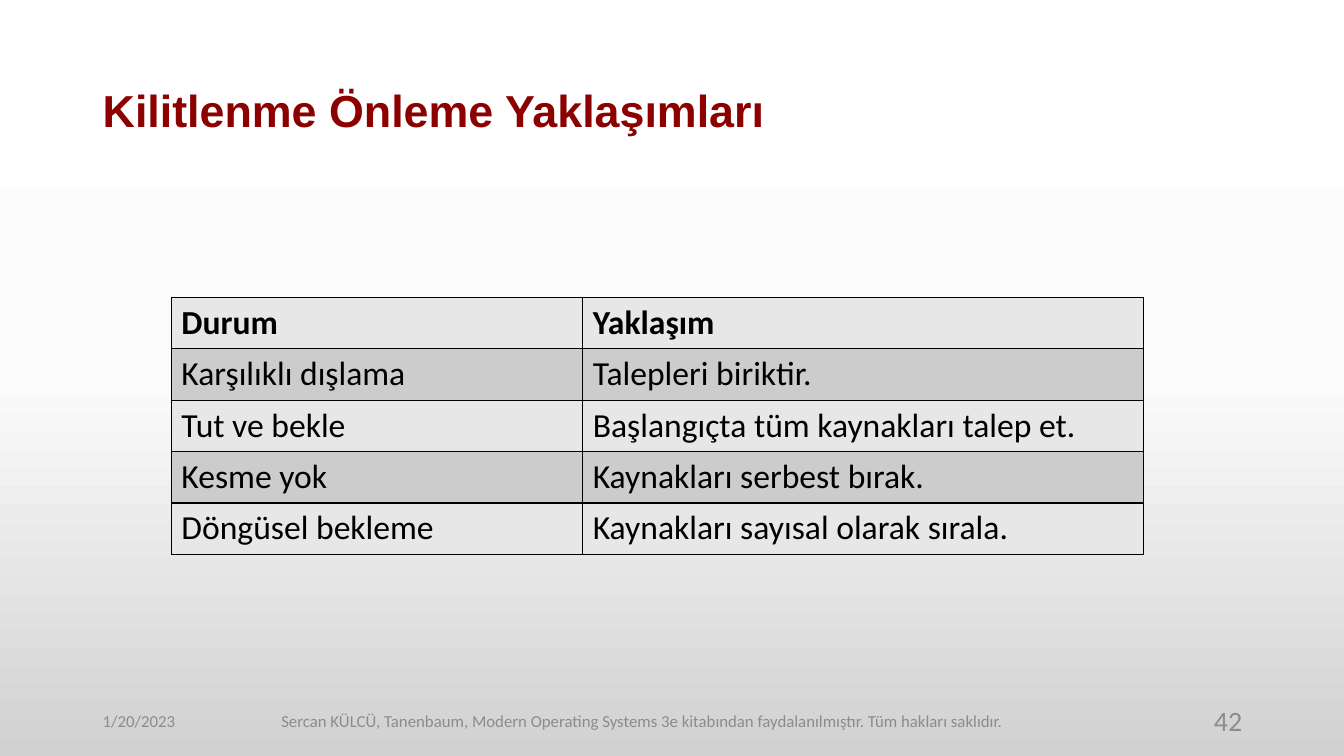
from dataclasses import dataclass

from lxml.etree import SubElement
from pptx import Presentation
from pptx.dml.color import RGBColor as Rgb
from pptx.enum.text import MSO_ANCHOR as Anchor, PP_ALIGN as Align
from pptx.oxml.ns import qn
from pptx.slide import Slide
from pptx.table import _Cell as Cell
from pptx.text.text import TextFrame as Frame
from pptx.util import Inches, Pt

COLORS = {
    "title": "8C0000", "text": "000000", "foot": "8C8C8C",
    "light": "E7E7E7", "dark": "CCCCCC", "line": "000000",
}
FADE = [(0, "FFFFFF"), (50, "FBFBFB"), (100, "D1D1D1")]
ROWS = [
    ("Durum", "Yaklaşım"),
    ("Karşılıklı dışlama", "Talepleri biriktir."),
    ("Tut ve bekle", "Başlangıçta tüm kaynakları talep et."),
    ("Kesme yok", "Kaynakları serbest bırak."),
    ("Döngüsel bekleme", "Kaynakları sayısal olarak sırala."),
]
WIDTHS = (4.08, 5.56)
ROW_H = 0.51
FOOT_Y, FOOT_H = 6.95, 0.4


@dataclass
class Label:
    text: str
    left: float
    top: float
    width: float
    height: float
    size: int = 12
    align: Align = Align.LEFT
    color: str = "foot"
    font: str = "Calibri"
    bold: bool = False
    space: float = 1.0


LABELS = [
    Label("Kilitlenme Önleme Yaklaşımları", 0.92, 0.4, 11.5, 1.45, size=32,
          color="title", font="Arial", bold=True, space=0.9),
    Label("1/20/2023", 0.92, FOOT_Y, 3, FOOT_H),
    Label("Sercan KÜLCÜ, Tanenbaum, Modern Operating Systems 3e kitabından "
          "faydalanılmıştır. Tüm hakları saklıdır.",
          2.58, FOOT_Y, 7.58, FOOT_H, align=Align.CENTER),
    Label("42", 9.42, FOOT_Y, 3, FOOT_H, size=20, align=Align.RIGHT),
]


def write(frame: Frame, text: str, *, size: int, color: str,
          font: str = "Calibri", bold: bool = False,
          align: Align = Align.LEFT, space: float = 1.0) -> None:
    frame.word_wrap = True
    para = frame.paragraphs[0]
    para.alignment = align
    para.line_spacing = space
    run = para.add_run()
    run.text = text
    run.font.name = font
    run.font.size = Pt(size)
    run.font.bold = bold
    run.font.color.rgb = Rgb.from_string(COLORS[color])


def paint(slide: Slide) -> None:
    """Fill the background with the vertical three-stop gradient."""
    fill = slide.background.fill
    fill.gradient()
    fill.gradient_angle = 270
    stops = slide.element.find(".//" + qn("a:gsLst"))
    stops.clear()
    for pos, color in FADE:
        stop = SubElement(stops, qn("a:gs"), pos=str(pos * 1000))
        SubElement(stop, qn("a:srgbClr"), val=color)


def add_label(slide: Slide, label: Label) -> None:
    area = (label.left, label.top, label.width, label.height)
    frame = slide.shapes.add_textbox(*map(Inches, area)).text_frame
    frame.vertical_anchor = Anchor.MIDDLE
    write(frame, label.text, size=label.size, color=label.color,
          font=label.font, bold=label.bold, align=label.align,
          space=label.space)


def style(cell: Cell, shade: str) -> None:
    """Set the fill of a cell and a thin line on its four sides."""
    props = cell._tc.get_or_add_tcPr()
    for side in ("lnL", "lnR", "lnT", "lnB"):
        line = SubElement(props, qn(f"a:{side}"), w=str(Pt(1)))
        fill = SubElement(line, qn("a:solidFill"))
        SubElement(fill, qn("a:srgbClr"), val=COLORS["line"])
    cell.fill.solid()
    cell.fill.fore_color.rgb = Rgb.from_string(COLORS[shade])


def add_grid(slide: Slide) -> None:
    area = (1.7, 2.95, sum(WIDTHS), ROW_H * len(ROWS))
    table = slide.shapes.add_table(
        len(ROWS), len(WIDTHS), *map(Inches, area)).table
    table.horz_banding = False
    for col, width in zip(table.columns, WIDTHS):
        col.width = Inches(width)
    for i, texts in enumerate(ROWS):
        table.rows[i].height = Inches(ROW_H)
        for j, text in enumerate(texts):
            cell = table.cell(i, j)
            style(cell, "dark" if i % 2 else "light")
            write(cell.text_frame, text, size=24, color="text", bold=i == 0)


def main() -> None:
    deck = Presentation()
    deck.slide_width, deck.slide_height = Inches(13.33), Inches(7.5)
    slide = deck.slides.add_slide(deck.slide_layouts[6])
    paint(slide)
    add_grid(slide)
    for label in LABELS:
        add_label(slide, label)
    deck.save("out.pptx")


if __name__ == "__main__":
    main()
